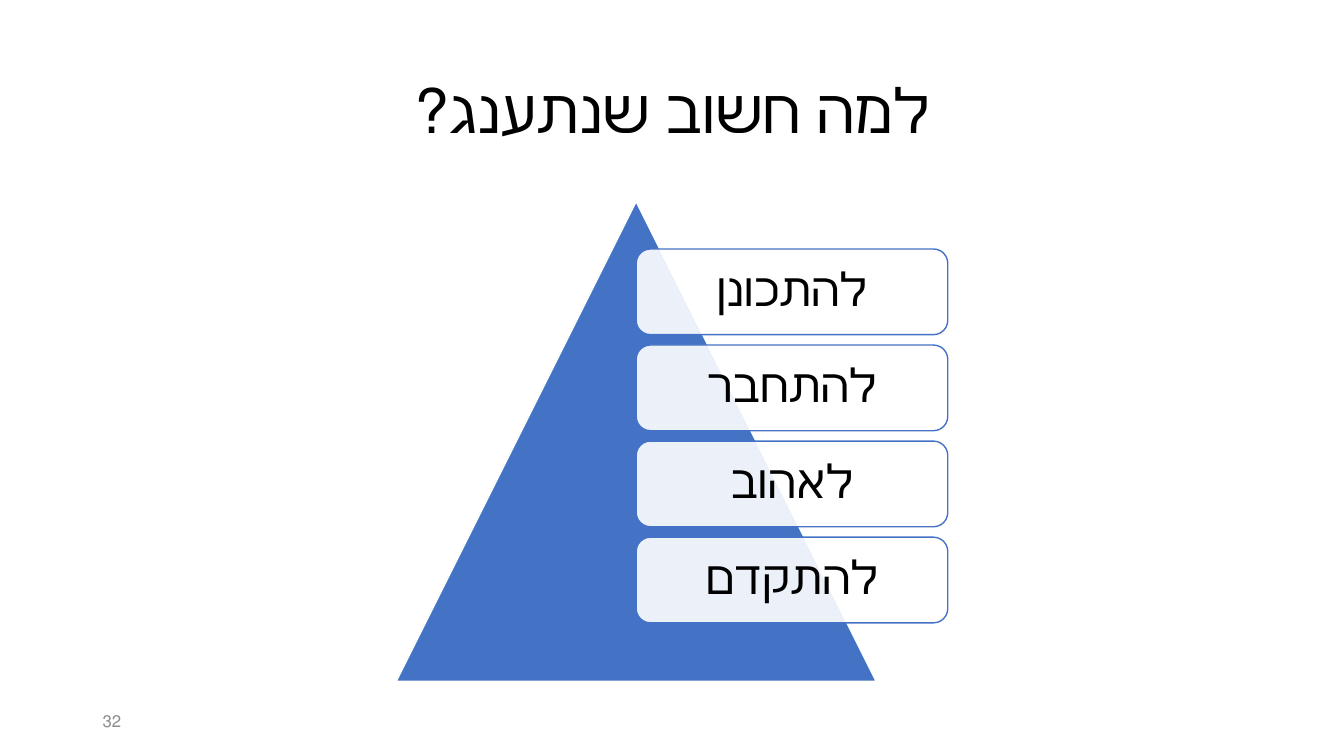
from dataclasses import dataclass

from lxml.etree import SubElement
from pptx import Presentation
from pptx.dml.color import RGBColor
from pptx.enum.shapes import MSO_SHAPE as Preset
from pptx.enum.text import MSO_ANCHOR as Anchor, PP_ALIGN as Align
from pptx.oxml.ns import qn
from pptx.shapes.autoshape import Shape
from pptx.slide import Slide
from pptx.text.text import TextFrame
from pptx.util import Inches, Pt

BLACK = RGBColor(0x00, 0x00, 0x00)
WHITE = RGBColor(0xFF, 0xFF, 0xFF)
BLUE = RGBColor(0x44, 0x72, 0xC4)
GRAY = RGBColor(0x8C, 0x8C, 0x8C)
FONT = "Calibri"

CARD_LEFT, CARD_TOP = 6.31, 2.47
CARD_WIDTH, CARD_HEIGHT = 3.09, 0.85
CARD_PITCH = 0.953
CARD_INSET = 0.18
REASONS = ("להתכונן", "להתחבר", "לאהוב", "להתקדם")


@dataclass(frozen=True)
class Box:
    left: float
    top: float
    width: float
    height: float

    def lengths(self) -> tuple[Inches, ...]:
        return tuple(map(Inches, (self.left, self.top, self.width, self.height)))


def write(frame: TextFrame, text: str, *, size: float, color: RGBColor = BLACK,
          align: Align = Align.CENTER, line_spacing: float = 0.9) -> None:
    """Fill a text frame with one right-to-left paragraph."""
    frame.word_wrap = True
    frame.vertical_anchor = Anchor.MIDDLE
    para = frame.paragraphs[0]
    para.alignment = align
    para.line_spacing = line_spacing
    para._p.get_or_add_pPr().set("rtl", "1")
    span = para.add_run()
    span.text = text
    span.font.name = FONT
    span.font.size = Pt(size)
    span.font.color.rgb = color


def add_shape(page: Slide, preset: Preset, box: Box, fill: RGBColor, line: RGBColor) -> Shape:
    shape = page.shapes.add_shape(preset, *box.lengths())
    shape.shadow.inherit = False
    shape.fill.solid()
    shape.fill.fore_color.rgb = fill
    shape.line.color.rgb = line
    shape.line.width = Pt(1)
    return shape


def set_opacity(shape: Shape, percent: int) -> None:
    color = shape._element.spPr.find(qn("a:solidFill")).find(qn("a:srgbClr"))
    SubElement(color, qn("a:alpha")).set("val", str(percent * 1000))


def add_card(page: Slide, row: int, text: str) -> None:
    box = Box(CARD_LEFT, CARD_TOP + row * CARD_PITCH, CARD_WIDTH, CARD_HEIGHT)
    card = add_shape(page, Preset.ROUNDED_RECTANGLE, box, WHITE, BLUE)
    set_opacity(card, 90)
    frame = card.text_frame
    frame.margin_left = frame.margin_right = Inches(CARD_INSET)
    frame.margin_top = frame.margin_bottom = Inches(CARD_INSET)
    write(frame, text, size=33)


def main() -> None:
    deck = Presentation()
    deck.slide_width, deck.slide_height = Inches(13.33), Inches(7.5)
    page = deck.slides.add_slide(deck.slide_layouts[5])

    title = page.shapes.title
    title.left, title.top, title.width, title.height = Box(0.92, 0.4, 11.5, 1.45).lengths()
    write(title.text_frame, "למה חשוב שנתענג?", size=44)

    add_shape(page, Preset.ISOSCELES_TRIANGLE, Box(3.93, 2, 4.76, 4.76), BLUE, WHITE)
    for row, reason in enumerate(REASONS):
        add_card(page, row, reason)

    number = page.shapes.add_textbox(*Box(0.92, 6.95, 3, 0.4).lengths())
    write(number.text_frame, "32", size=12, color=GRAY, align=Align.LEFT, line_spacing=1.0)

    deck.save("out.pptx")


if __name__ == "__main__":
    main()
